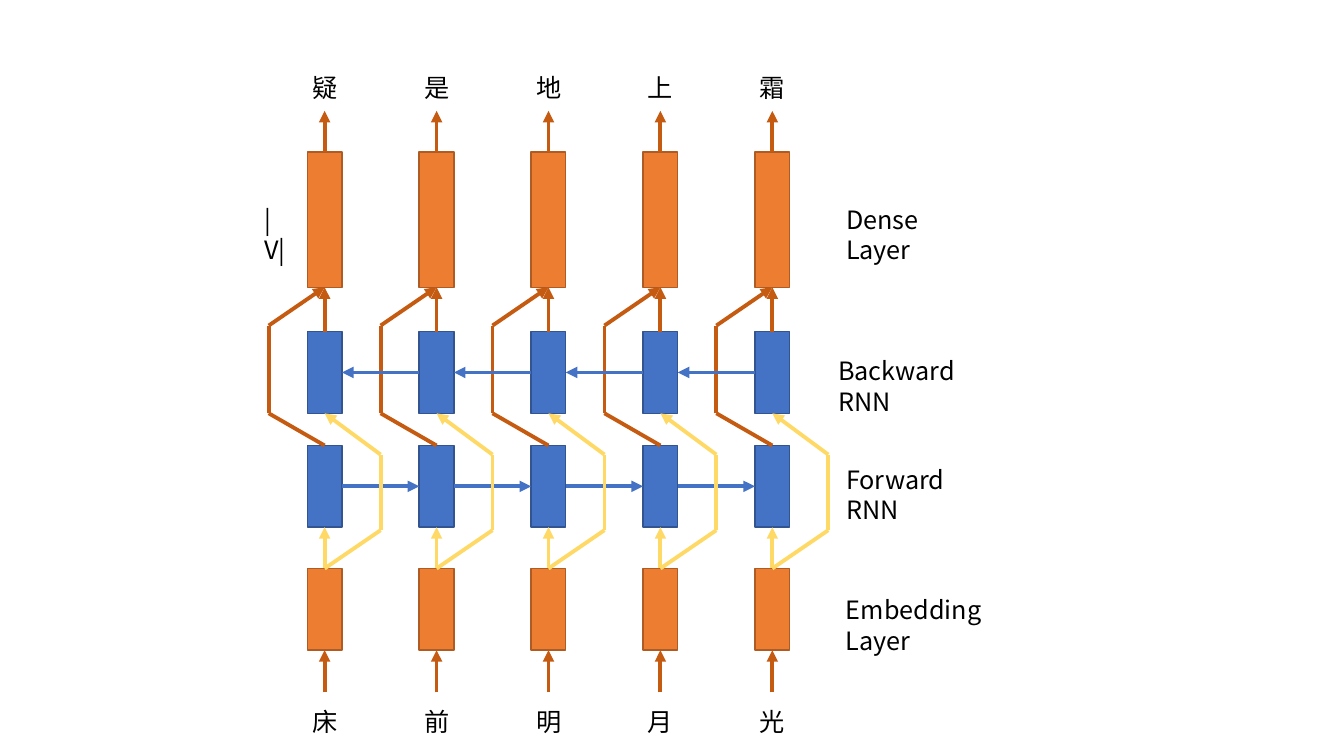
from itertools import pairwise

from lxml.etree import SubElement
from pptx import Presentation
from pptx.dml.color import RGBColor
from pptx.enum.shapes import MSO_CONNECTOR, MSO_SHAPE
from pptx.enum.text import MSO_AUTO_SIZE
from pptx.oxml.ns import qn
from pptx.util import Inches, Pt

BLACK = RGBColor(0x00, 0x00, 0x00)
BLUE = RGBColor(0x44, 0x72, 0xC4)
DARK_BLUE = RGBColor(0x32, 0x54, 0x91)
ORANGE = RGBColor(0xED, 0x7D, 0x31)
DARK_ORANGE = RGBColor(0xAF, 0x5C, 0x24)
RUST = RGBColor(0xC5, 0x5A, 0x11)
YELLOW = RGBColor(0xFF, 0xD9, 0x66)


class Diagram:
    """Style and slide; one column per time step, 75 rows down the slide."""

    font_name = "Noto Sans CJK SC"
    font_size = Pt(18)
    line_width = Pt(2.75)
    first_column = Inches(3.22)
    column_width = Inches(1.11)
    row_height = Inches(0.1)

    def __init__(self, slide):
        self.shapes = slide.shapes

    def point(self, column, row):
        return (round(self.first_column + column * self.column_width),
                round(row * self.row_height))

    def size(self, columns, rows):
        return round(columns * self.column_width), round(rows * self.row_height)

    def block(self, column, top, bottom, fill, outline):
        box = self.shapes.add_shape(
            MSO_SHAPE.RECTANGLE, *self.point(column - HALF_BLOCK, top),
            *self.size(2 * HALF_BLOCK, bottom - top))
        box.shadow.inherit = False
        box.fill.solid()
        box.fill.fore_color.rgb = fill
        box.line.color.rgb = outline
        box.line.width = Pt(1)

    def arrow(self, color, *stops):
        """Join the (column, row) stops; the last segment gets the head."""
        for start, end in pairwise(stops):
            line = self.shapes.add_connector(
                MSO_CONNECTOR.STRAIGHT, *self.point(*start), *self.point(*end))
            line.line.color.rgb = color
            line.line.width = self.line_width
            properties = line._element.spPr
            if end == stops[-1]:
                SubElement(properties.find(qn("a:ln")), qn("a:tailEnd"), type="triangle")
            SubElement(properties, qn("a:effectLst"))

    def label(self, text, column, row, columns):
        box = self.shapes.add_textbox(*self.point(column, row), *self.size(columns, 4))
        frame = box.text_frame
        frame.word_wrap = True
        frame.auto_size = MSO_AUTO_SIZE.SHAPE_TO_FIT_TEXT
        span = frame.paragraphs[0].add_run()
        span.text = text
        span.font.size = self.font_size
        span.font.color.rgb = BLACK
        span.font.name = self.font_name
        SubElement(span._r.get_or_add_rPr(), qn("a:ea"), typeface=self.font_name)


# Layers as (top, bottom) rows
DENSE = (15.1, 28.5)
BACKWARD = (32.9, 41)
FORWARD = (44.2, 52.3)
EMBEDDING = (56.4, 64.5)
OUTPUT_ROW, INPUT_ROW = 11, 68.7

HALF_BLOCK = 0.155
BYPASS = 0.5
INPUT_WORDS = "床前明月光"
OUTPUT_WORDS = "疑是地上霜"
LAYER_LABELS = [
    ("Embedding Layer", 4.57, 58.5, 1.88),
    ("Forward RNN", 4.57, 45.6, 1.5),
    ("Backward RNN", 4.5, 34.8, 1.64),
    ("Dense Layer", 4.57, 19.8, 1.37),
    ("|V|", -0.63, 19.8, 0.42),
]

deck = Presentation()
deck.slide_width, deck.slide_height = Inches(13.33), Inches(7.5)
diagram = Diagram(deck.slides.add_slide(deck.slide_layouts[6]))
steps = range(len(INPUT_WORDS))

# Network blocks and upward flow for each time step
for step in steps:
    for layer in (FORWARD, BACKWARD):
        diagram.block(step, *layer, BLUE, DARK_BLUE)
    for layer in (EMBEDDING, DENSE):
        diagram.block(step, *layer, ORANGE, DARK_ORANGE)
    for color, start, end in [
        (YELLOW, EMBEDDING[0], FORWARD[1]),
        (RUST, BACKWARD[0], DENSE[1]),
        (RUST, INPUT_ROW, EMBEDDING[1]),
        (RUST, DENSE[0], OUTPUT_ROW),
    ]:
        diagram.arrow(color, (step, start), (step, end))
    # Forward output passes the backward block on its left
    diagram.arrow(RUST, (step, FORWARD[0]), (step - BYPASS, 41),
                  (step - BYPASS, 32.3), (step, DENSE[1]))

# Recurrent links between neighbouring steps
for left, right in pairwise(steps):
    near, far = left + HALF_BLOCK, right - HALF_BLOCK
    diagram.arrow(BLUE, (near, sum(FORWARD) / 2), (far, sum(FORWARD) / 2))
    diagram.arrow(BLUE, (far, sum(BACKWARD) / 2), (near, sum(BACKWARD) / 2))

# Embedding passes the forward block on its right
for step in steps:
    diagram.arrow(YELLOW, (step, EMBEDDING[0]), (step + BYPASS, 52.6),
                  (step + BYPASS, 45.1), (step, BACKWARD[1]))

# Input and output words, layer names
for words, row in ((INPUT_WORDS, 69.6), (OUTPUT_WORDS, 6.7)):
    for step, word in enumerate(words):
        diagram.label(word, step - 0.2, row, 0.41)
for layer_label in LAYER_LABELS:
    diagram.label(*layer_label)

deck.save("out.pptx")
